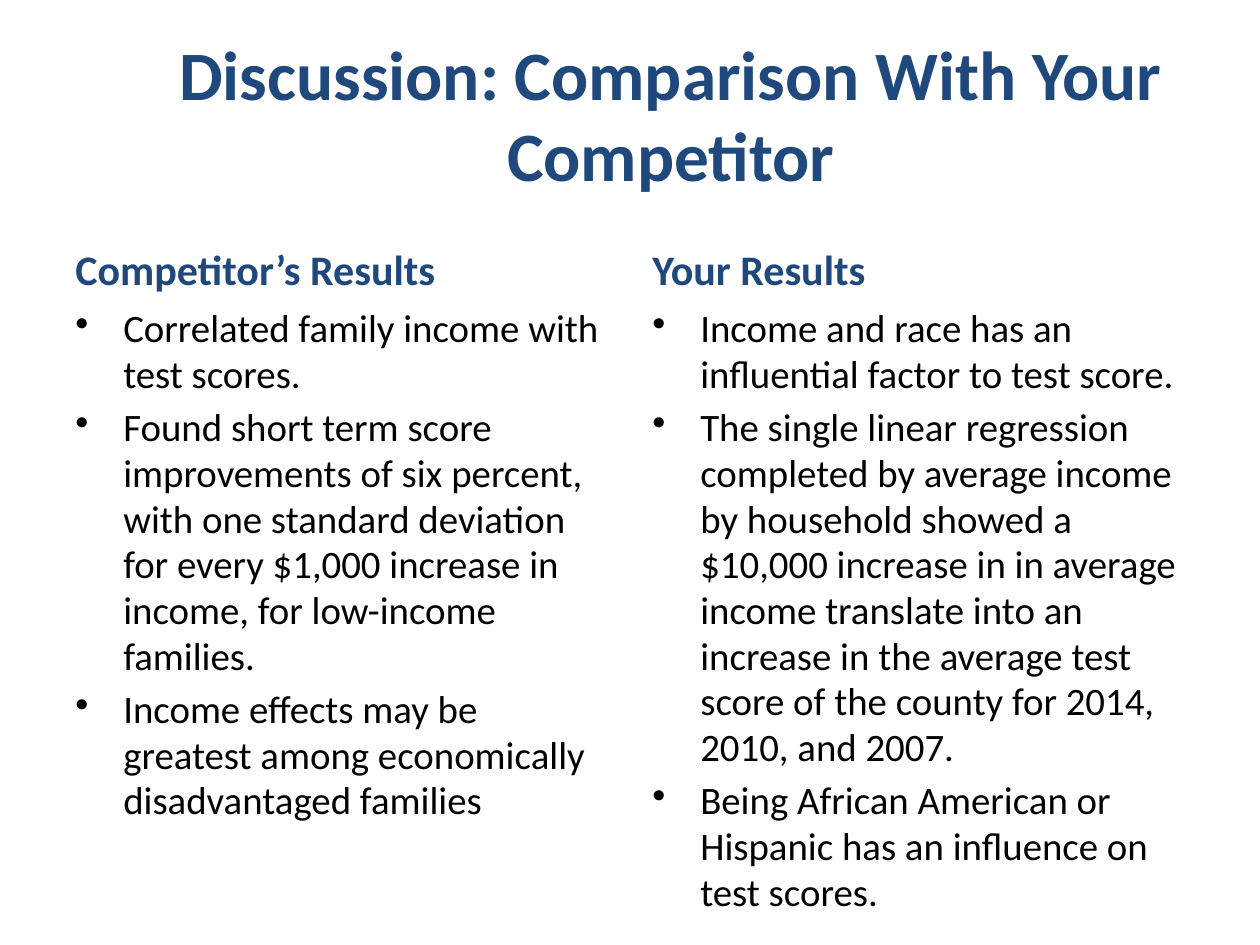
from pptx import Presentation
from pptx.dml.color import RGBColor
from pptx.enum import text
from pptx.oxml import parse_xml
from pptx.oxml.ns import nsdecls
from pptx.util import Inches, Pt

HEADING = "Discussion: Comparison With Your Competitor"
COLUMNS = [
    ("Competitor’s Results", [
        "Correlated family income with test scores.",
        "Found short term score improvements of six percent, with one standard "
        "deviation for every $1,000 increase in income, for low-income families.",
        "Income effects may be greatest among economically disadvantaged families",
    ]),
    ("Your Results", [
        "Income and race has an influential factor to test score.",
        "The single linear regression completed by average income by household "
        "showed a $10,000 increase in in average income translate into an increase "
        "in the average test score of the county for 2014, 2010, and 2007.",
        "Being African American or Hispanic has an influence on test scores.",
    ]),
]
NAVY, BLACK, WHITE = "1F497D", "000000", "FFFFFF"
LEFT, COLUMN_WIDTH, GAP = 0.5, 4.42, 0.16
INDENT = Inches(0.38)


def color(value):
    return RGBColor.from_string(value)


def add_text(slide, box, lines, size, ink, bold=False, fill=None,
             anchor=text.MSO_ANCHOR.TOP, align=text.PP_ALIGN.LEFT,
             before=0, spacing=None):
    block = slide.shapes.add_textbox(*map(Inches, box))
    if fill:
        block.fill.solid()
        block.fill.fore_color.rgb = color(fill)
    frame = block.text_frame
    frame.word_wrap = True
    frame.vertical_anchor = anchor
    frame.text = "\n".join(lines)
    for paragraph in frame.paragraphs:
        paragraph.alignment = align
        paragraph.space_before = Pt(before)
        if spacing:
            paragraph.line_spacing = spacing
        paragraph.font.name = "Calibri"
        paragraph.font.size = Pt(size)
        paragraph.font.bold = bold
        paragraph.font.color.rgb = color(ink)
    return frame


def add_bullets(frame):
    for paragraph in frame.paragraphs:
        properties = paragraph._p.get_or_add_pPr()
        properties.set("marL", str(INDENT))
        properties.set("indent", str(-INDENT))
        bullet = parse_xml(f'<a:buChar {nsdecls("a")} char="•"/>')
        properties.find(
            "{http://schemas.openxmlformats.org/drawingml/2006/main}defRPr"
        ).addprevious(bullet)


def main():
    deck = Presentation()
    deck.slide_width, deck.slide_height = Inches(10), Inches(7.5)
    slide = deck.slides.add_slide(deck.slide_layouts[6])
    add_text(slide, (1.15, 0.3, 8.35, 1.25), [HEADING], 39.6, NAVY, True, WHITE,
             text.MSO_ANCHOR.MIDDLE, text.PP_ALIGN.CENTER, spacing=0.98)
    for index, (subheading, findings) in enumerate(COLUMNS):
        left = LEFT + index * (COLUMN_WIDTH + GAP)
        add_text(slide, (left, 1.68, COLUMN_WIDTH, 0.7), [subheading], 24, NAVY,
                 True, WHITE, text.MSO_ANCHOR.BOTTOM, before=4.8)
        body = add_text(slide, (left, 2.38, COLUMN_WIDTH, 4.32), findings, 22.2,
                        BLACK, before=4.4, spacing=0.98)
        add_bullets(body)
    deck.save("out.pptx")


if __name__ == "__main__":
    main()
